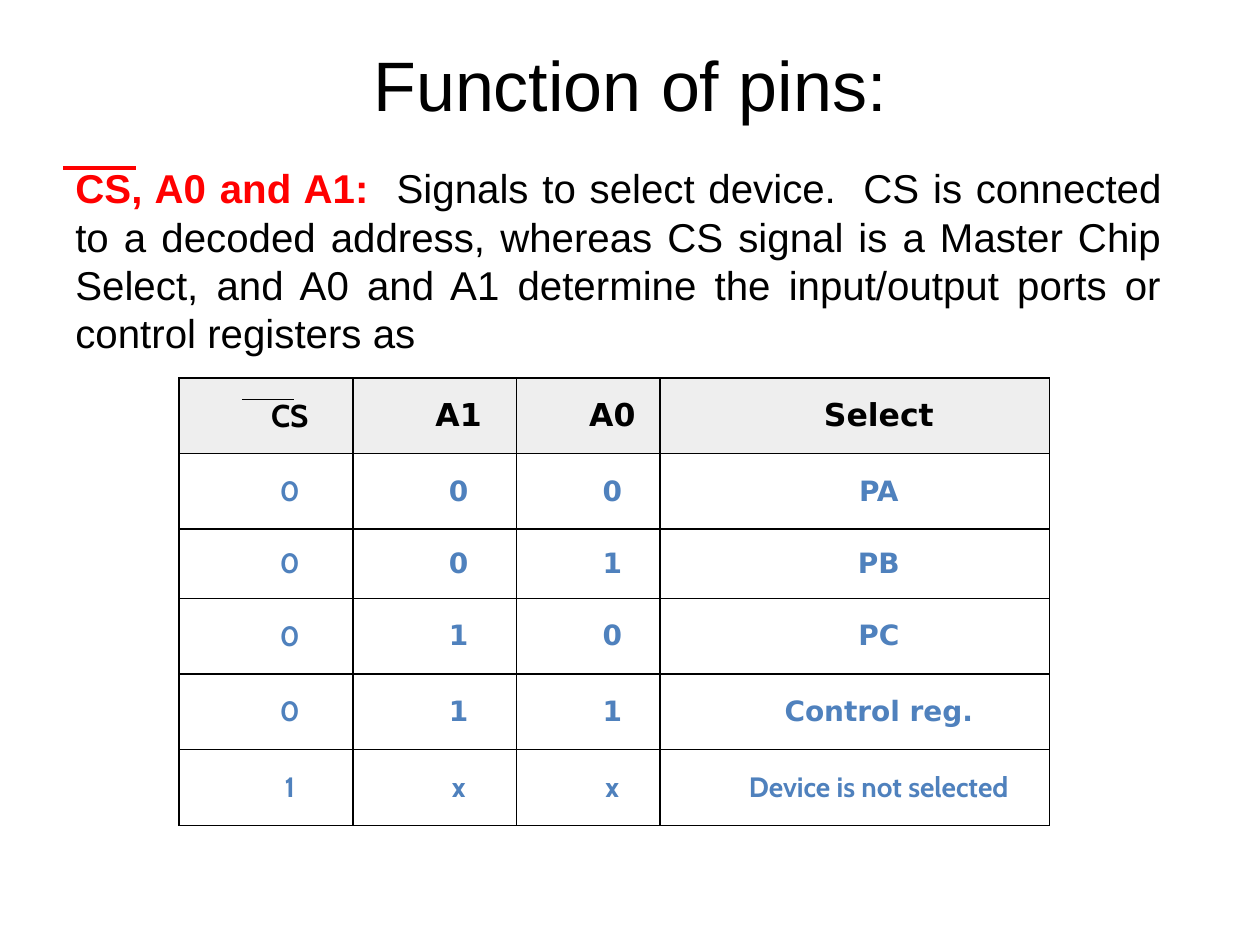
import dataclasses

import pptx
import pptx.dml.color
import pptx.enum.shapes
import pptx.enum.text
import pptx.oxml.ns
import pptx.util
from lxml import etree

PX = 9144  # EMU per px, 100 px to the inch
ALIGN = pptx.enum.text.PP_ALIGN
MIDDLE = pptx.enum.text.MSO_ANCHOR.MIDDLE
SANS, MONO = "Cabin", "DejaVu Sans"
BLACK, RED, BLUE, GREY = "000000", "FF0000", "4F81BD", "EEEEEE"

COLS = [138, 130, 114, 309]
ROWS = [60, 60, 55, 60, 60, 60]
PINS = [
    ["CS", "A1", "A0", "Select"],
    ["0", "0", "0", "PA"],
    ["0", "0", "1", "PB"],
    ["0", "1", "0", "PC"],
    ["0", "1", "1", "Control reg."],
    ["1", "x", "x", "Device is not selected"],
]


@dataclasses.dataclass
class Bar:
    """Overline above an active-low signal name."""
    left: int
    right: int
    top: int
    color: str
    width: float


BARS = [Bar(50, 108, 133, RED, 2.25), Bar(192, 233, 317, BLACK, 0.75)]


def px(num: int) -> int:
    return pptx.util.Emu(num * PX)


def rgb(code: str) -> pptx.dml.color.RGBColor:
    return pptx.dml.color.RGBColor.from_string(code)


def write(para, text: str, *, size: float, font: str = "Arial",
          color: str = BLACK, bold: bool = False, align=ALIGN.CENTER) -> None:
    para.alignment = align
    run = para.add_run()
    run.text = text
    run.font.size = pptx.util.Pt(size)
    run.font.name = font
    run.font.bold = bold
    run.font.color.rgb = rgb(color)


def place(shape, left: int, top: int, width: int, height: int) -> None:
    shape.left, shape.top = px(left), px(top)
    shape.width, shape.height = px(width), px(height)


def edge(cell, color: str, width: float) -> None:
    """Draw a border on all four sides; call before filling the cell."""
    props = cell._tc.get_or_add_tcPr()
    for side in ("lnL", "lnR", "lnT", "lnB"):
        line = etree.SubElement(props, pptx.oxml.ns.qn(f"a:{side}"),
                                w=str(pptx.util.Pt(width)))
        fill = etree.SubElement(line, pptx.oxml.ns.qn("a:solidFill"))
        etree.SubElement(fill, pptx.oxml.ns.qn("a:srgbClr"), val=color)


def draw_cell(cell, text: str, head: bool, font: str) -> None:
    cell.margin_left = cell.margin_right = 0
    cell.margin_top = cell.margin_bottom = 0
    cell.vertical_anchor = MIDDLE
    edge(cell, BLACK, 1)
    if head:
        cell.fill.solid()
        cell.fill.fore_color.rgb = rgb(GREY)
    else:
        cell.fill.background()
    para = cell.text_frame.paragraphs[0]
    write(para, text, size=18 if head else 16, font=font,
          color=BLACK if head else BLUE, bold=True)
    props = para._p.get_or_add_pPr()
    props.set("marL", "0")
    props.set("indent", str(px(38)))


def draw_table(slide) -> None:
    frame = slide.shapes.add_table(len(ROWS), len(COLS), px(142), px(300),
                                   px(sum(COLS)), px(sum(ROWS)))
    table = frame.table
    for col, width in zip(table.columns, COLS):
        col.width = px(width)
    for row, height in zip(table.rows, ROWS):
        row.height = px(height)
    last = len(ROWS) - 1
    for i, line in enumerate(PINS):
        for j, text in enumerate(line):
            font = SANS if j == 0 or i == last else MONO
            draw_cell(table.cell(i, j), text, i == 0, font)


def draw_bar(slide, bar: Bar) -> None:
    line = slide.shapes.add_connector(
        pptx.enum.shapes.MSO_CONNECTOR.STRAIGHT,
        px(bar.left), px(bar.top), px(bar.right), px(bar.top))
    line.line.color.rgb = rgb(bar.color)
    line.line.width = pptx.util.Pt(bar.width)
    etree.SubElement(line._element.spPr, pptx.oxml.ns.qn("a:effectLst"))


def main() -> None:
    deck = pptx.Presentation()
    deck.slide_width, deck.slide_height = px(1000), px(750)
    slide = deck.slides.add_slide(deck.slide_layouts[5])

    title = slide.shapes.title
    place(title, 50, 32, 900, 68)
    title.text_frame.vertical_anchor = MIDDLE
    write(title.text_frame.paragraphs[0], "Function of pins:", size=40)

    body = slide.shapes.add_textbox(px(50), px(125), px(883), px(150))
    body.text_frame.word_wrap = True
    para = body.text_frame.paragraphs[0]
    write(para, "CS, A0 and A1:  ", size=23, color=RED, bold=True,
          align=ALIGN.JUSTIFY)
    write(para, "Signals to select device.  CS is connected to a decoded "
          "address, whereas CS signal is a Master Chip Select, and A0 and A1 "
          "determine the input/output ports or control registers as",
          size=23, align=ALIGN.JUSTIFY)

    draw_table(slide)
    for bar in BARS:
        draw_bar(slide, bar)
    deck.save("out.pptx")


if __name__ == "__main__":
    main()
